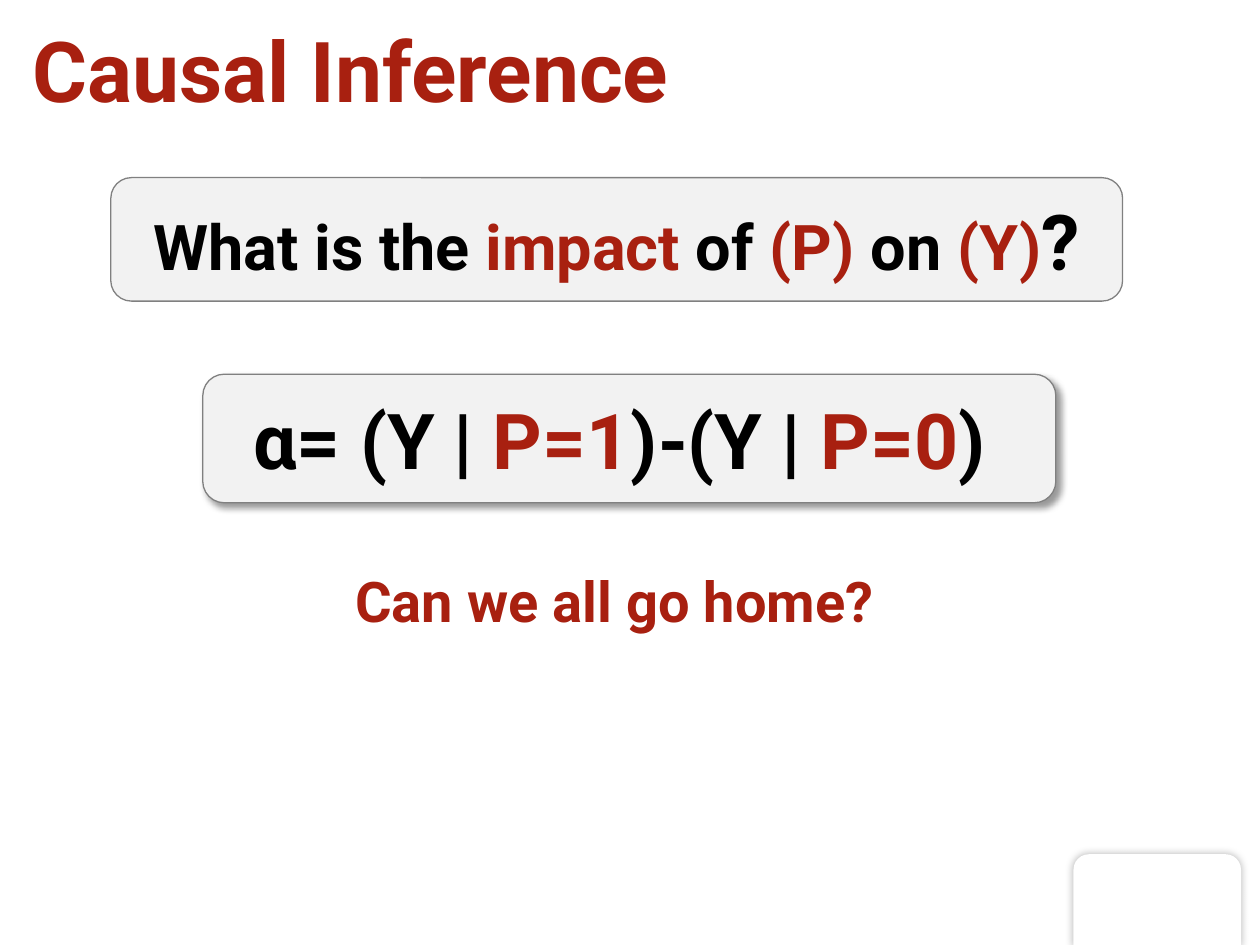
from dataclasses import dataclass

from lxml import etree
from pptx import Presentation
from pptx.dml.color import RGBColor
from pptx.enum.shapes import MSO_SHAPE
from pptx.enum.text import MSO_ANCHOR, PP_ALIGN
from pptx.oxml.ns import qn
from pptx.util import Inches, Pt

ROUNDED = MSO_SHAPE.ROUNDED_RECTANGLE
TAB = MSO_SHAPE.ROUND_2_SAME_RECTANGLE
MIDDLE = MSO_ANCHOR.MIDDLE
LEFT, CENTER = PP_ALIGN.LEFT, PP_ALIGN.CENTER


@dataclass(frozen=True)
class Theme:
    font: str = "Roboto"
    red: RGBColor = RGBColor(0xA8, 0x20, 0x10)
    black: RGBColor = RGBColor(0, 0, 0)
    white: RGBColor = RGBColor(0xFF, 0xFF, 0xFF)
    panel: RGBColor = RGBColor(0xF2, 0xF2, 0xF2)
    border: RGBColor = RGBColor(0x80, 0x80, 0x80)
    title: int = 48
    formula: int = 44
    question: int = 36
    closing: int = 32


theme = Theme()
deck = Presentation()
deck.slide_width, deck.slide_height = Inches(10), Inches(7.5)
page = deck.slides.add_slide(deck.slide_layouts[6])
COLUMN = deck.slide_width / 100
ROW = deck.slide_height / 75


def cast_shadow(shape, alpha, blur, distance, angle):
    effects = shape._element.spPr.find(qn("a:effectLst"))
    shadow = etree.SubElement(effects, qn("a:outerShdw"), blurRad=str(Pt(blur)),
                              dist=str(Pt(distance)), dir=str(angle * 60000),
                              algn="ctr", rotWithShape="0")
    color = etree.SubElement(shadow, qn("a:srgbClr"), val=str(theme.black))
    etree.SubElement(color, qn("a:alpha"), val=str(alpha * 1000))


def place(column, row, columns, rows):
    return [round(n) for n in (column * COLUMN, row * ROW, columns * COLUMN, rows * ROW)]


corner_tab = page.shapes.add_shape(TAB, *place(85.2, 67.8, 13.3, 7.3))
corner_tab.shadow.inherit = False
corner_tab.fill.solid()
corner_tab.fill.fore_color.rgb = theme.white
corner_tab.line.fill.background()
cast_shadow(corner_tab, 30, 5, 0, 0)

title = page.shapes.add_textbox(*place(1.6, 0.8, 96.9, 9.4))
question = page.shapes.add_shape(ROUNDED, *place(8.8, 14.1, 80.3, 9.8))
formula = page.shapes.add_shape(ROUNDED, *place(16.1, 29.7, 67.7, 10.2))
closing = page.shapes.add_textbox(*place(27.2, 44.4, 45.4, 6.4))

for panel in (question, formula):
    panel.shadow.inherit = False
    panel.fill.solid()
    panel.fill.fore_color.rgb = theme.panel
    panel.line.color.rgb = theme.border
    panel.line.width = Pt(0.75)
cast_shadow(formula, 40, 4, 3, 45)

texts = [
    (title, LEFT, theme.title, [("Causal Inference", theme.red)]),
    (question, CENTER, theme.question, [
        ("What is the ", theme.black), ("impact ", theme.red), ("of ", theme.black),
        ("(P) ", theme.red), ("on ", theme.black), ("(Y)", theme.red), ("?", theme.black)]),
    (formula, CENTER, theme.formula, [
        ("α= (Y | ", theme.black), ("P=1", theme.red), (")-(Y | ", theme.black),
        ("P=0", theme.red), (") ", theme.black)]),
    (closing, LEFT, theme.closing, [("Can we all go home?", theme.red)]),
]
for box, alignment, size, spans in texts:
    frame = box.text_frame
    frame.word_wrap = True
    frame.vertical_anchor = MIDDLE
    para = frame.paragraphs[0]
    para.alignment = alignment
    para.font.name = theme.font
    para.font.size = Pt(size)
    para.font.bold = True
    for words, color in spans:
        span = para.add_run()
        span.text = words
        span.font.color.rgb = color

question.text_frame.paragraphs[0].runs[-1].font.size = Pt(theme.formula)

deck.save("out.pptx")
